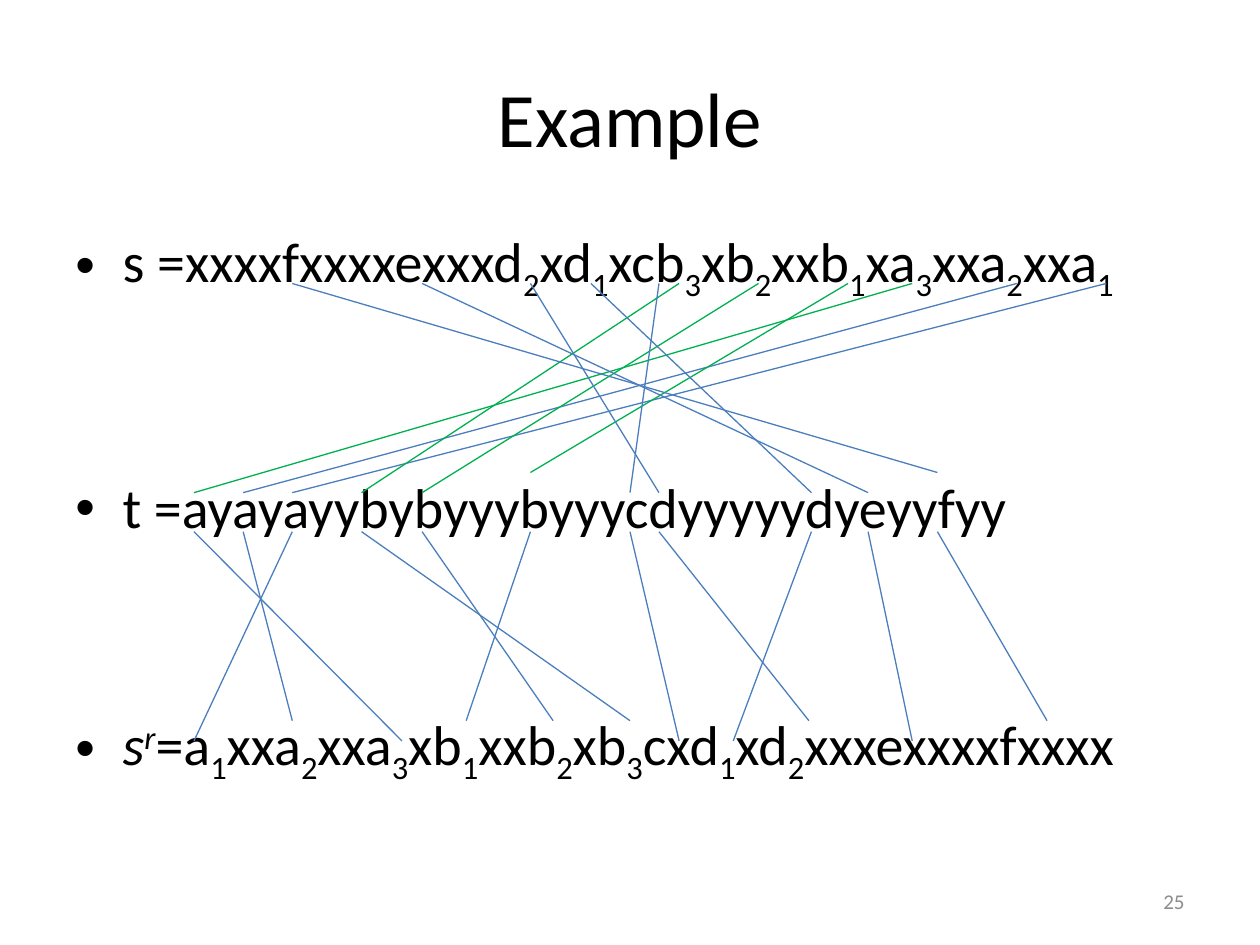
import itertools

import pptx
import pptx.dml.color
import pptx.enum.shapes
import pptx.enum.text
import pptx.oxml
import pptx.util
from lxml import etree

COLOURS = {"text": "000000", "number": "8C8C8C", "blue": "4B7EBC", "green": "00B050"}
WIDTH, HEIGHT, MARGIN = 10, 7.5, 0.5
CONTENT_WIDTH = WIDTH - 2 * MARGIN
INDENT = 0.375
ROW_GAP = 97  # points between two strings

# (text, italic, superscript); digits in plain text are subscripts
STRINGS = [
    [("s =xxxxfxxxxexxxd2xd1xcb3xb2xxb1xa3xxa2xxa1", False, False)],
    [("t =ayayayybybyyybyyycdyyyyydyeyyfyy", False, False)],
    [("s", True, False), ("r", True, True),
     ("=a1xxa2xxa3xb1xxb2xb3cxd1xd2xxxexxxxfxxxx", False, False)],
]

UNDER_S, UNDER_T = 2.25, 4.22
ABOVE_T = {"near": 3.91, "far": 3.75}
ABOVE_SR = {"near": 5.88, "far": 5.72}

# x in t, x in s, x in reversed s, colour of s-t line, gap above t, gap above reversed s
MATCHES = [
    (1.54, 7.24, 3.19, "green", "near", "near"),
    (1.93, 8.07, 2.32, "blue", "near", "far"),
    (2.32, 8.78, 1.54, "blue", "near", "near"),
    (2.87, 5.39, 5.00, "green", "near", "far"),
    (3.35, 6.02, 4.39, "green", "near", "far"),
    (4.21, 6.73, 3.70, "green", "far", "far"),
    (5.00, 5.23, 5.39, "blue", "near", "near"),
    (5.23, 4.21, 6.42, "blue", "near", "far"),
    (6.44, 4.69, 5.82, "blue", "near", "near"),
    (6.89, 3.35, 7.24, "blue", "near", "near"),
    (7.44, 2.32, 8.31, "blue", "far", "far"),
]

ALIGN = pptx.enum.text.PP_ALIGN
ANCHOR = pptx.enum.text.MSO_ANCHOR
inches = pptx.util.Inches


def colour(name):
    return pptx.dml.color.RGBColor.from_string(COLOURS[name])


def add_frame(slide, left, top, width, height, anchor):
    box = slide.shapes.add_textbox(*map(inches, (left, top, width, height)))
    frame = box.text_frame
    for name, value in {"word_wrap": True, "vertical_anchor": anchor}.items():
        setattr(frame, name, value)
    return frame


def add_run(paragraph, text, size, colour_name="text", italic=False, baseline=0):
    """Baseline is a percentage: negative for subscript, positive for superscript."""
    run = paragraph.add_run()
    run.text = text
    for name, value in {"name": "Calibri", "size": pptx.util.Pt(size), "italic": italic}.items():
        setattr(run.font, name, value)
    run.font.color.rgb = colour(colour_name)
    if baseline:
        run._r.get_or_add_rPr().set("baseline", str(baseline * 1000))


def add_bullet(paragraph):
    properties = paragraph._p.get_or_add_pPr()
    properties.set("marL", str(inches(INDENT)))
    properties.set("indent", str(-inches(INDENT)))
    for tag, attribute, value in (("buFont", "typeface", "Arial"), ("buChar", "char", "•")):
        etree.SubElement(properties, pptx.oxml.ns.qn("a:" + tag)).set(attribute, value)


def add_strings(frame):
    for row, parts in enumerate(STRINGS):
        paragraph = frame.add_paragraph() if row else frame.paragraphs[0]
        add_bullet(paragraph)
        if row:
            paragraph.space_before = pptx.util.Pt(ROW_GAP)
        for text, italic, superscript in parts:
            for is_index, letters in itertools.groupby(text, str.isdigit):
                baseline = 30 if superscript else -25 if is_index else 0
                add_run(paragraph, "".join(letters), 32, italic=italic, baseline=baseline)


def add_match_line(slide, start, end, colour_name):
    line = slide.shapes.add_connector(
        pptx.enum.shapes.MSO_CONNECTOR.STRAIGHT, *map(inches, start + end))
    line.line.color.rgb = colour(colour_name)
    line.line.width = pptx.util.Pt(0.75)
    etree.SubElement(line._element.spPr, pptx.oxml.ns.qn("a:effectLst"))


def main():
    deck = pptx.Presentation()
    deck.slide_width, deck.slide_height = inches(WIDTH), inches(HEIGHT)
    slide = deck.slides.add_slide(deck.slide_layouts[6])

    title = add_frame(slide, MARGIN, 0.3, CONTENT_WIDTH, 1.25, ANCHOR.MIDDLE).paragraphs[0]
    title.alignment = ALIGN.CENTER
    add_run(title, "Example", 44)

    add_strings(add_frame(slide, MARGIN, 1.75, CONTENT_WIDTH, 4.95, ANCHOR.TOP))

    for t_x, s_x, sr_x, upper_colour, t_gap, sr_gap in MATCHES:
        add_match_line(slide, (t_x, ABOVE_T[t_gap]), (s_x, UNDER_S), upper_colour)
        add_match_line(slide, (sr_x, ABOVE_SR[sr_gap]), (t_x, UNDER_T), "blue")

    number_width = 2.33
    number = add_frame(slide, WIDTH - MARGIN - number_width, 6.95,
                       number_width, 0.4, ANCHOR.MIDDLE).paragraphs[0]
    number.alignment = ALIGN.RIGHT
    add_run(number, "25", 12, "number")

    deck.save("out.pptx")


if __name__ == "__main__":
    main()
